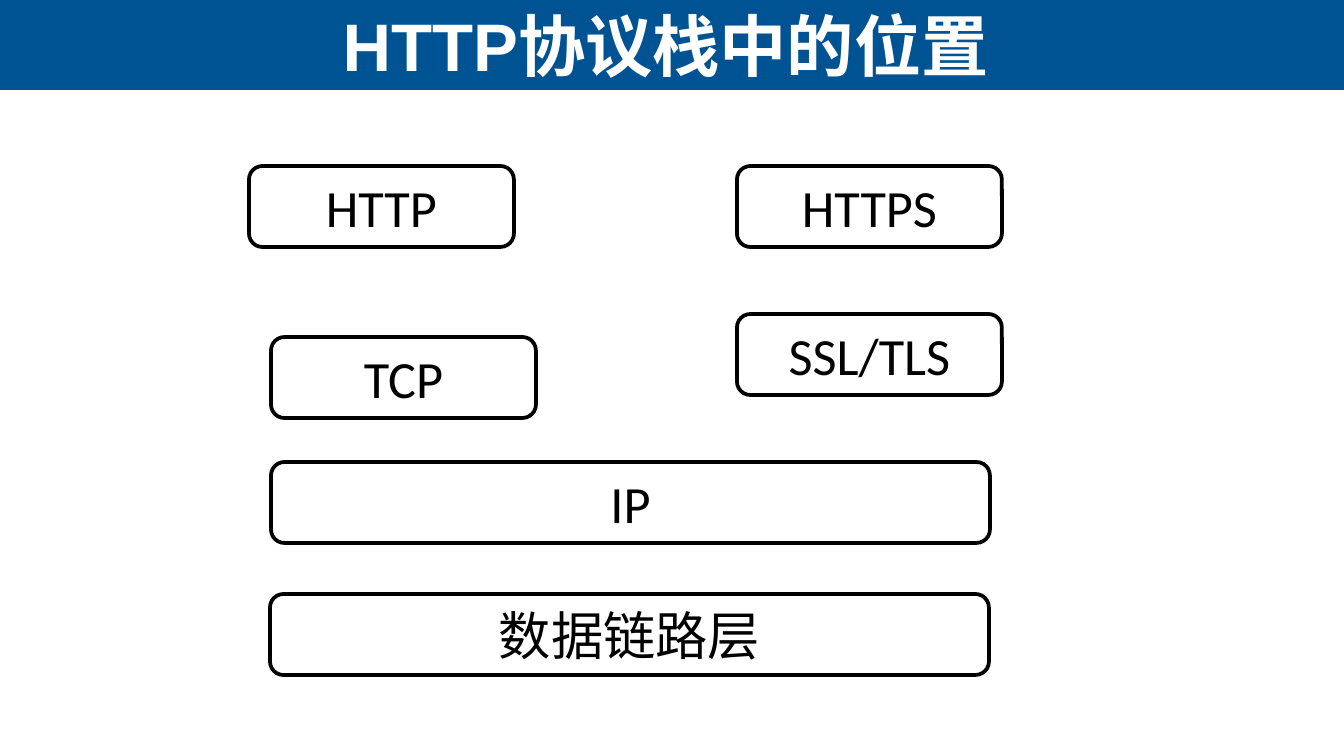
from pptx import Presentation
from pptx import util as u
from pptx.dml.color import RGBColor
from pptx.enum import shapes, text

EMU_PER_PX = 914400 / 134.4
SLIDE_WIDTH, SLIDE_HEIGHT = 1344, 756
BAND_HEIGHT = 90
BOX_HEIGHT = 81
NARROW, WIDE = 265, 719

BLUE = RGBColor(0x00, 0x53, 0x92)
WHITE = RGBColor(0xFF, 0xFF, 0xFF)
BLACK = RGBColor(0x00, 0x00, 0x00)


def px(length):
    return u.Emu(round(length * EMU_PER_PX))


class SlideBuilder:
    title_font, title_size = "Arial", 36
    box_font, box_size = "Calibri", 28
    line_width = 2

    def __init__(self, slide):
        self.slide = slide

    def add_label(self, shape, words, font, size, color, bold=False):
        frame = shape.text_frame
        frame.word_wrap = True
        frame.auto_size = text.MSO_AUTO_SIZE.NONE
        frame.vertical_anchor = text.MSO_ANCHOR.MIDDLE
        paragraph = frame.paragraphs[0]
        paragraph.alignment = text.PP_ALIGN.CENTER
        run = paragraph.add_run()
        run.text = words
        run.font.name = font
        run.font.size = u.Pt(size)
        run.font.bold = bold
        run.font.color.rgb = color

    def add_shape(self, kind, left, top, width, height):
        shape = self.slide.shapes.add_shape(
            kind, px(left), px(top), px(width), px(height))
        shape.shadow.inherit = False
        return shape

    def band(self, left, top, width, height):
        shape = self.add_shape(
            shapes.MSO_SHAPE.RECTANGLE, left, top, width, height)
        shape.fill.solid()
        shape.fill.fore_color.rgb = BLUE
        shape.line.fill.background()
        # Place the band behind the title
        self.slide.shapes.title._element.addprevious(shape._element)

    def title(self, words, left, top, width, height):
        title = self.slide.shapes.title
        title.left, title.top = px(left), px(top)
        title.width, title.height = px(width), px(height)
        self.add_label(
            title, words, self.title_font, self.title_size, WHITE, True)

    def box(self, words, left, top, width):
        shape = self.add_shape(
            shapes.MSO_SHAPE.ROUNDED_RECTANGLE, left, top, width, BOX_HEIGHT)
        shape.fill.background()
        shape.line.color.rgb = BLACK
        shape.line.width = u.Pt(self.line_width)
        self.add_label(shape, words, self.box_font, self.box_size, BLACK)


def main():
    presentation = Presentation()
    presentation.slide_width = px(SLIDE_WIDTH)
    presentation.slide_height = px(SLIDE_HEIGHT)
    title_only = presentation.slide_layouts[5]
    builder = SlideBuilder(presentation.slides.add_slide(title_only))

    # Title band
    builder.band(0, 0, SLIDE_WIDTH, BAND_HEIGHT)
    builder.title("HTTP协议栈中的位置", 2, 0, 1327, BAND_HEIGHT)

    # Protocol layers: name, left, top, width
    layers = [
        ("HTTP", 249, 166, NARROW),
        ("IP", 271, 462, WIDE),
        ("HTTPS", 737, 166, NARROW),
        ("SSL/TLS", 737, 314, NARROW),
        ("TCP", 271, 337, NARROW),
        ("数据链路层", 270, 594, WIDE),
    ]
    for layer in layers:
        builder.box(*layer)

    presentation.save("out.pptx")


if __name__ == "__main__":
    main()
